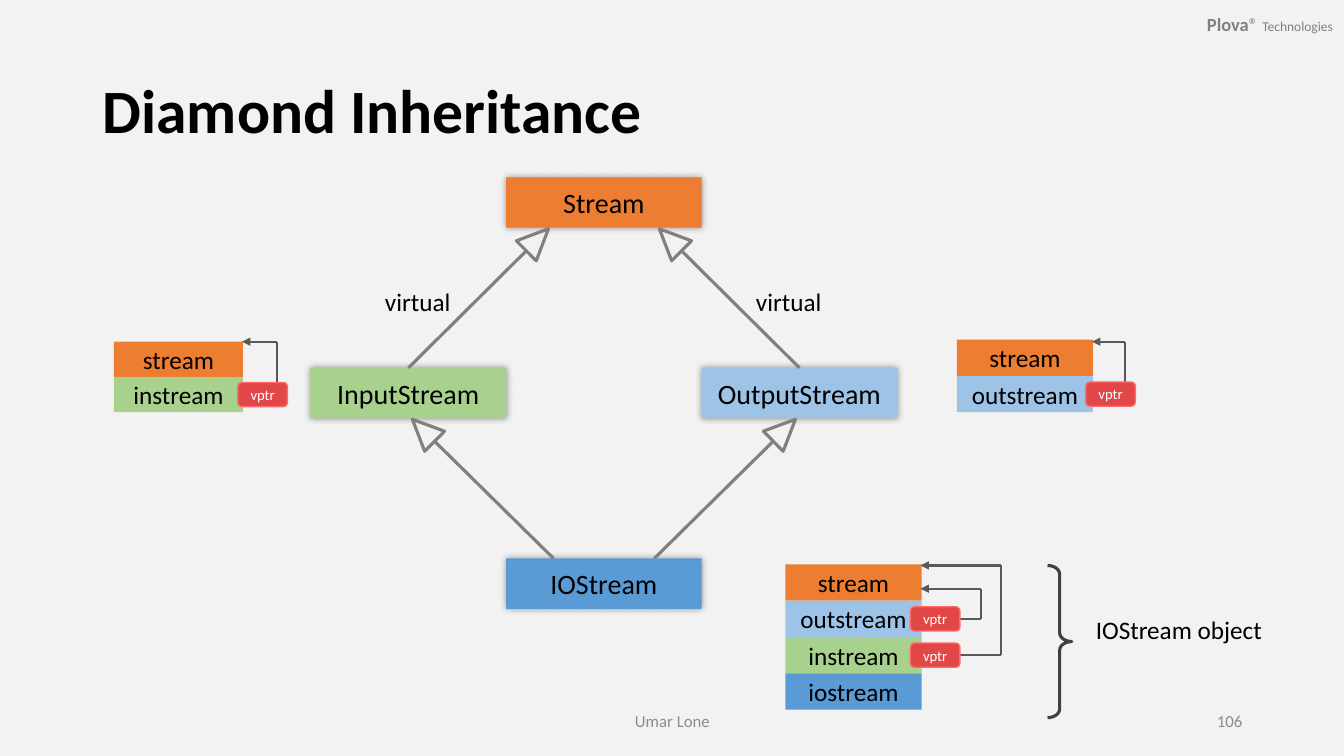
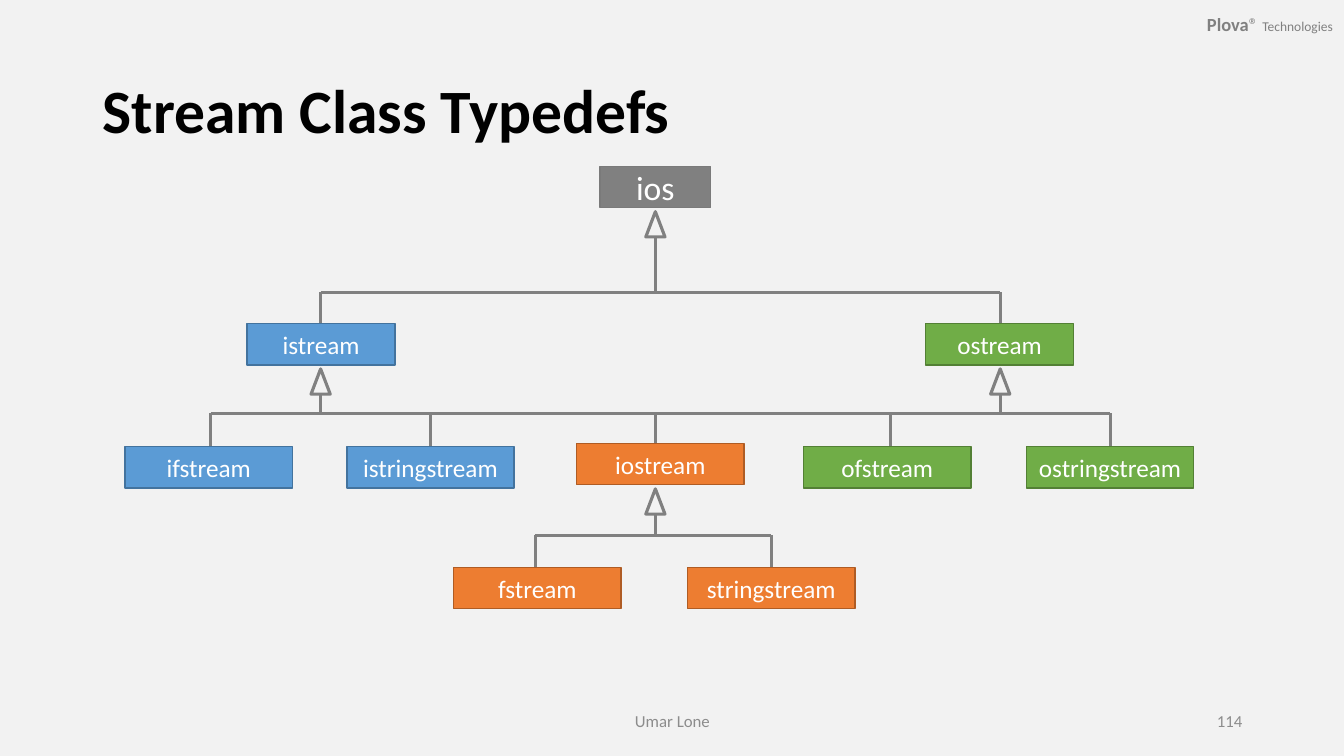
import math

import lxml.etree
import pptx
import pptx.dml.color
import pptx.enum.shapes
import pptx.enum.text
import pptx.oxml.ns
import pptx.util

RGB = pptx.dml.color.RGBColor
SHAPE = pptx.enum.shapes.MSO_SHAPE
ALIGN = pptx.enum.text.PP_ALIGN
ANCHOR = pptx.enum.text.MSO_ANCHOR
qn = pptx.oxml.ns.qn

EMU_PER_PX = 9144  # 100 px to the inch
FONT = "Calibri"

PAPER = RGB(0xF2, 0xF2, 0xF2)
BLACK = RGB(0x00, 0x00, 0x00)
WHITE = RGB(0xFF, 0xFF, 0xFF)
GRAY = RGB(0x80, 0x80, 0x80)
GRAY_EDGE = RGB(0x7A, 0x7A, 0x7A)
FOOTER_GRAY = RGB(0x8C, 0x8C, 0x8C)
POINTER_GRAY = RGB(0x59, 0x59, 0x59)
BRACE_GRAY = RGB(0x40, 0x40, 0x40)
ORANGE = RGB(0xED, 0x7D, 0x31)
ORANGE_EDGE = RGB(0xAF, 0x5C, 0x24)
BLUE = RGB(0x5B, 0x9B, 0xD5)
BLUE_EDGE = RGB(0x43, 0x73, 0x9E)
LIGHT_BLUE = RGB(0x9D, 0xC3, 0xE6)
GREEN = RGB(0x70, 0xAD, 0x47)
GREEN_EDGE = RGB(0x53, 0x80, 0x35)
LIGHT_GREEN = RGB(0xA9, 0xD1, 0x8E)
RED = RGB(0xE1, 0x47, 0x47)
RED_EDGE = RGB(0xFF, 0x69, 0x69)

PART_FILLS = {"stream": ORANGE, "instream": LIGHT_GREEN,
              "outstream": LIGHT_BLUE, "iostream": BLUE}


def px(length):
    return pptx.util.Emu(round(length * EMU_PER_PX))


def place(box):
    return [px(length) for length in box]


def fill_glow(effects):
    """Put a soft, unshifted black shadow into an effect list."""
    shadow = lxml.etree.SubElement(effects, qn("a:outerShdw"), blurRad="63500",
                                   dist="0", dir="0", rotWithShape="0")
    color = lxml.etree.SubElement(shadow, qn("a:srgbClr"), val="000000")
    lxml.etree.SubElement(color, qn("a:alpha"), val="40000")


def add_span(para, text, size=18, color=BLACK, bold=False, glow=False):
    span = para.add_run()
    span.text = text
    span.font.size = pptx.util.Pt(size)
    span.font.bold = bold
    span.font.name = FONT
    span.font.color.rgb = color
    if glow:
        effects = lxml.etree.Element(qn("a:effectLst"))
        span.font._element.find(qn("a:solidFill")).addnext(effects)
        fill_glow(effects)


def write_text(shape, text, align=ALIGN.LEFT, anchor=ANCHOR.MIDDLE,
               margins=(10, 5), spacing=None, **span_format):
    frame = shape.text_frame
    frame.word_wrap = True
    frame.vertical_anchor = anchor
    frame.margin_left = frame.margin_right = px(margins[0])
    frame.margin_top = frame.margin_bottom = px(margins[1])
    para = frame.paragraphs[0]
    para.alignment = align
    if spacing:
        para.line_spacing = spacing
    add_span(para, text, **span_format)
    return para


def add_label(page, box, text, **text_format):
    return write_text(page.shapes.add_textbox(*place(box)), text, **text_format)


def add_shape(page, kind, box, fill=None, edge=None, edge_width=1, glow=False):
    shape = page.shapes.add_shape(kind, *place(box))
    shape.shadow.inherit = False
    if glow:
        fill_glow(shape._element.spPr.find(qn("a:effectLst")))
    if fill is None:
        shape.fill.background()
    else:
        shape.fill.solid()
        shape.fill.fore_color.rgb = fill
    if edge is None:
        shape.line.fill.background()
    else:
        shape.line.color.rgb = edge
        shape.line.width = pptx.util.Pt(edge_width)
    return shape


def add_block(page, box, text, fill, kind=SHAPE.RECTANGLE, edge=None,
              glow=False, **span_format):
    shape = add_shape(page, kind, box, fill, edge, glow=glow)
    write_text(shape, text, align=ALIGN.CENTER, margins=(0, 0), **span_format)


def add_line(page, start, end, color=GRAY, width=2.25, arrow=False):
    line = page.shapes.add_connector(pptx.enum.shapes.MSO_CONNECTOR.STRAIGHT,
                                     *place(start + end))
    line.line.color.rgb = color
    line.line.width = pptx.util.Pt(width)
    if arrow:
        lxml.etree.SubElement(line.line._get_or_add_ln(), qn("a:tailEnd"),
                              type="triangle")
    lxml.etree.SubElement(line._element.spPr, qn("a:effectLst"))


def add_inheritance(page, start, tip, head=(28, 31)):
    """Draw a line from start that ends in a hollow triangle at tip."""
    width, height = head
    angle = math.atan2(tip[0] - start[0], start[1] - tip[1])
    step_x, step_y = math.sin(angle), -math.cos(angle)
    base = (tip[0] - height * step_x, tip[1] - height * step_y)
    center_x, center_y = (tip[0] + base[0]) / 2, (tip[1] + base[1]) / 2
    add_line(page, start, base)
    triangle = add_shape(
        page, SHAPE.ISOSCELES_TRIANGLE,
        (center_x - width / 2, center_y - height / 2, width, height),
        edge=GRAY, edge_width=2.25)
    triangle.rotation = math.degrees(angle)


def add_page(deck, title, number):
    page = deck.slides.add_slide(deck.slide_layouts[6])
    brand = {"color": GRAY, "glow": True}
    para = add_label(page, (1141, 1, 193, 45), "Plova", align=ALIGN.RIGHT,
                     margins=(12, 6), size=13.2, bold=True, **brand)
    add_span(para, "® ", size=13.2, **brand)
    add_span(para, "Technologies", size=9.6, **brand)
    add_label(page, (92, 40, 1150, 145), title, size=44, bold=True, spacing=0.9)
    footer = {"size": 12, "color": FOOTER_GRAY}
    add_label(page, (442, 695, 450, 40), "Umar Lone", align=ALIGN.CENTER, **footer)
    add_label(page, (942, 695, 300, 40), number, align=ALIGN.RIGHT, **footer)
    return page


def add_diamond(page, left, top):
    width, height, step = 194, 50, 189
    center = left + width * 3 / 2
    classes = [("Stream", 0, 0, ORANGE), ("InputStream", -1, 1, LIGHT_GREEN),
               ("OutputStream", 1, 1, LIGHT_BLUE), ("IOStream", 0, 2, BLUE)]
    for name, column, row, fill in classes:
        box = (left + (column + 1) * width, top + row * step, width, height)
        add_block(page, box, name, fill, size=20, glow=True)
    for side in (-1, 1):
        add_inheritance(page, (center + side * width, top + step),
                        (center + side * 55, top + height + 1))
        add_inheritance(page, (center + side * 50, top + 2 * step),
                        (center + side * 190, top + step + height + 1))
    for label_left in (64, 432):
        add_label(page, (left + label_left, top + 103, 97, 40), "virtual",
                  anchor=ANCHOR.TOP)


def add_memory(page, box, parts, overlap, pointers):
    """Stack the parts of an object; each pointer is (row, reach, target)."""
    left, top, width, height = box
    right, row_height = left + width, height / len(parts)
    for row, part in enumerate(parts):
        add_block(page, (left, top + row * row_height, width, row_height),
                  part, PART_FILLS[part])
    for row, reach, target in pointers:
        chip_left, middle = right - overlap, top + (row + 0.5) * row_height
        chip_right, bend = chip_left + 49, right + reach
        points = [(bend, top + target), (right - 1, top + target)]
        if bend > chip_right:
            points = [(chip_right, middle), (bend, middle)] + points
        else:
            points = [(bend, middle - 12)] + points
        for start, end in zip(points, points[1:]):
            add_line(page, start, end, POINTER_GRAY, 1.5, arrow=end == points[-1])
        add_block(page, (chip_left, middle - 12, 49, 24), "vptr", RED,
                  kind=SHAPE.ROUNDED_RECTANGLE, edge=RED_EDGE, size=10.5,
                  color=WHITE)


def add_object_brace(page, left, top):
    brace = add_shape(page, SHAPE.RIGHT_BRACE, (left, top, 24, 151),
                      edge=BRACE_GRAY, edge_width=2.25)
    brace.adjustments[0] = 0.36
    brace.adjustments[1] = 0.5
    add_label(page, (left + 38, top + 44, 217, 40), "IOStream object",
              anchor=ANCHOR.TOP)


def add_branch(page, parent, bus, children, child_top):
    """Join children to the bottom centre of their parent by a shared bar."""
    x, bottom = parent
    add_inheritance(page, (x, bus), (x, bottom + 4), head=(19, 25))
    add_line(page, (children[0], bus), (children[-1], bus))
    for child in children:
        add_line(page, (child, bus), (child, child_top))


def add_class_tree(page, left, top):
    height = 41
    branches = [((526, 0), 125, (194, 868), 156),
                ((194, 156), 245, (85, 303, 526), 278),
                ((868, 156), 245, (526, 759, 977), 278),
                ((526, 275), 366, (407, 641), 398)]
    for (x, y), bus, children, child_top in branches:
        add_branch(page, (left + x, top + y + height), top + bus,
                   [left + child for child in children], top + child_top)
    gray, blue = (GRAY, GRAY_EDGE), (BLUE, BLUE_EDGE)
    green, orange = (GREEN, GREEN_EDGE), (ORANGE, ORANGE_EDGE)
    classes = [("ios", 471, 0, 110, gray),
               ("istream", 121, 156, 147, blue),
               ("ostream", 794, 156, 147, green),
               ("ifstream", 0, 278, 166, blue),
               ("istringstream", 220, 278, 166, blue),
               ("iostream", 448, 275, 166, orange),
               ("ofstream", 673, 278, 166, green),
               ("ostringstream", 894, 278, 166, green),
               ("fstream", 326, 398, 166, orange),
               ("stringstream", 558, 398, 166, orange)]
    for name, x, y, width, (fill, edge) in classes:
        add_block(page, (left + x, top + y, width, height), name, fill,
                  edge=edge, size=24 if name == "ios" else 18, color=WHITE)


def main():
    deck = pptx.Presentation()
    deck.slide_width, deck.slide_height = px(1333), px(750)
    backdrop = deck.slide_master.background.fill
    backdrop.solid()
    backdrop.fore_color.rgb = PAPER

    page = add_page(deck, "Diamond Inheritance", "106")
    add_diamond(page, 308, 176)
    add_memory(page, (113, 339, 128, 70), ["stream", "instream"], 5, [(1, 34, 0)])
    add_memory(page, (949, 337, 135, 72), ["stream", "outstream"], 7, [(1, 32, 2)])
    add_memory(page, (779, 560, 135, 144),
               ["stream", "outstream", "instream", "iostream"], 11,
               [(1, 59, 24), (2, 79, 1)])
    add_object_brace(page, 1039, 561)

    page = add_page(deck, "Stream Class Typedefs", "114")
    add_class_tree(page, 124, 165)
    deck.save("out.pptx")


if __name__ == "__main__":
    main()
